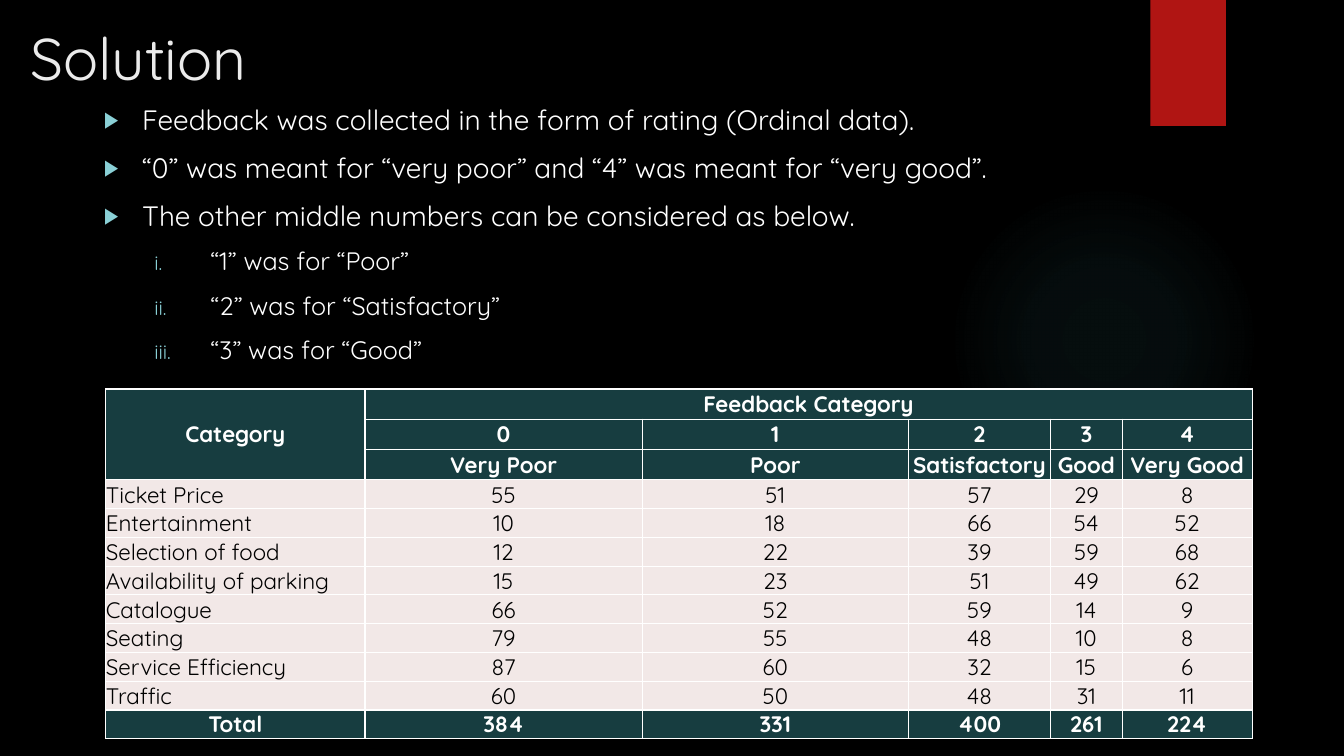
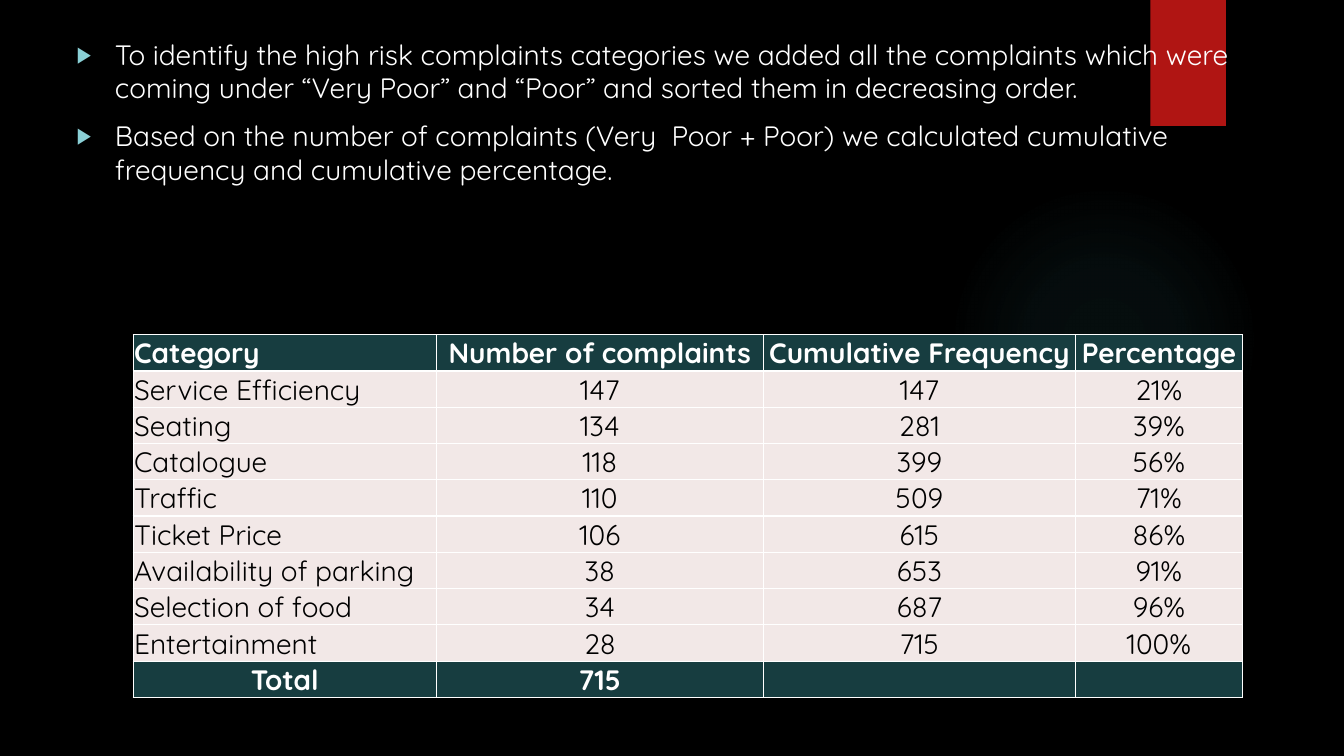
"""Build two slides on survey feedback: the ratings and the ranked complaints."""
import pptx
import pptx.dml.color
import pptx.enum.shapes
import pptx.enum.text
import pptx.oxml
import pptx.util

Inches, Pt = pptx.util.Inches, pptx.util.Pt
ALIGN, ANCHOR = pptx.enum.text.PP_ALIGN, pptx.enum.text.MSO_ANCHOR
SHAPE = pptx.enum.shapes.MSO_SHAPE
NS = 'xmlns:a="http://schemas.openxmlformats.org/drawingml/2006/main"'
FONT = "Quicksand"
BLACK, WHITE, TITLE = "000000", "FFFFFF", "EBEBEB"
RED, GLOW, BULLET = "B01513", "50B9C1", "8AD0D6"
DARK, PALE = "173D40", "F2E8E7"

BULLETS = [
    {"size": 20, "margin": 0.38, "indent": 0.38, "mark": '<a:buChar char="▶"/>'},
    {"size": 18, "margin": 1.06, "indent": 0.56, "mark": '<a:buAutoNum type="romanLcPeriod"/>'},
]

SLIDES = [
    {
        "title": "Solution",
        "body_at": (0.93, 0.97, 11.5, 4.76),
        "body": [
            (0, "Feedback was collected in the form of rating (Ordinal data)."),
            (0, "“0” was meant for “very poor” and “4” was meant for “very good”."),
            (0, "The other middle numbers can be considered as below."),
            (1, "“1” was for “Poor”"),
            (1, "“2” was for “Satisfactory”"),
            (1, "“3” was for “Good”"),
        ],
        "table": {
            "at": (1.05, 3.86), "height": 3.47, "size": 16, "inset": 0,
            "cols": [2.57, 2.75, 2.64, 1.41, 0.71, 1.29],
            "head_rows": 3, "head_height": 0.3, "corner": ALIGN.CENTER,
            "merges": [((0, 0), (2, 0)), ((0, 1), (0, 5))],
            "rows": [
                ("Category", "Feedback Category", "", "", "", ""),
                ("", "0", "1", "2", "3", "4"),
                ("", "Very Poor", "Poor", "Satisfactory", "Good", "Very Good"),
                ("Ticket Price", "55", "51", "57", "29", "8"),
                ("Entertainment", "10", "18", "66", "54", "52"),
                ("Selection of food", "12", "22", "39", "59", "68"),
                ("Availability of parking", "15", "23", "51", "49", "62"),
                ("Catalogue", "66", "52", "59", "14", "9"),
                ("Seating", "79", "55", "48", "10", "8"),
                ("Service Efficiency", "87", "60", "32", "15", "6"),
                ("Traffic", "60", "50", "48", "31", "11"),
                ("Total", "384", "331", "400", "261", "224"),
            ],
        },
    },
    {
        "title": None,
        "body_at": (0.66, 0.32, 12.31, 6.43),
        "body": [
            (0, "To identify the high risk complaints categories we added all the complaints "
                "which were coming under “Very Poor” and “Poor” and sorted them in decreasing order."),
            (0, "Based on the number of complaints (Very  Poor + Poor) we calculated "
                "cumulative frequency and cumulative percentage."),
        ],
        "table": {
            "at": (1.32, 3.32), "height": 3.6, "size": 20, "inset": 0.01,
            "cols": [3.01, 3.24, 3.1, 1.65],
            "head_rows": 1, "head_height": 0.36, "corner": ALIGN.LEFT,
            "merges": [],
            "rows": [
                ("Category", "Number of complaints", "Cumulative Frequency", "Percentage"),
                ("Service Efficiency", "147", "147", "21%"),
                ("Seating", "134", "281", "39%"),
                ("Catalogue", "118", "399", "56%"),
                ("Traffic", "110", "509", "71%"),
                ("Ticket Price", "106", "615", "86%"),
                ("Availability of parking", "38", "653", "91%"),
                ("Selection of food", "34", "687", "96%"),
                ("Entertainment", "28", "715", "100%"),
                ("Total", "715", "", ""),
            ],
        },
    },
]


def rgb(value):
    return pptx.dml.color.RGBColor.from_string(value)


def xml(text):
    return pptx.oxml.parse_xml(text.replace(">", f" {NS}>", 1))


def paint(fill, color):
    fill.solid()
    fill.fore_color.rgb = rgb(color)


def write(p, text, size=20, color=WHITE, bold=False, align=ALIGN.LEFT):
    p.alignment = align
    r = p.add_run()
    r.text = text
    r.font.name, r.font.size, r.font.bold = FONT, Pt(size), bold
    r.font.color.rgb = rgb(color)


def place(sp, at):
    sp.left, sp.top, sp.width, sp.height = map(Inches, at)


def add_decor(slide, kind, at):
    sp = slide.shapes.add_shape(kind, *map(Inches, at))
    sp.shadow.inherit = False
    sp.line.fill.background()
    return sp


def style_master(prs, slide):
    master = prs.slide_master
    paint(master.background.fill, BLACK)
    glow = add_decor(slide, SHAPE.OVAL, (9.41, 1.83, 3.08, 3.08))
    stops = "".join(
        f'<a:gs pos="{pos}000"><a:srgbClr val="{GLOW}"><a:alpha val="{alpha}000"/></a:srgbClr></a:gs>'
        for pos, alpha in [(0, 7), (36, 6), (69, 0)])
    glow.element.spPr.insert(2, xml(
        f'<a:gradFill><a:gsLst>{stops}</a:gsLst><a:path path="circle">'
        '<a:fillToRect l="50000" t="50000" r="50000" b="50000"/></a:path></a:gradFill>'))
    band = add_decor(slide, SHAPE.RECTANGLE, (11.41, 0, 0.75, 1.25))
    paint(band.fill, RED)
    band.element.spPr[-1].append(xml(
        f'<a:outerShdw blurRad="{Pt(3)}" dist="{Pt(2)}" dir="5400000"><a:srgbClr val="{BLACK}">'
        '<a:alpha val="45000"/></a:srgbClr></a:outerShdw>'))
    for i, sp in enumerate((glow, band)):
        master.shapes.element.insert(2 + i, sp.element)


def add_title(slide, text):
    sp = slide.shapes.title
    if text is None:
        sp.element.getparent().remove(sp.element)
        return
    place(sp, (0.2, 0.16, 11.5, 0.81))
    sp.text_frame.vertical_anchor = ANCHOR.MIDDLE
    write(sp.text_frame.paragraphs[0], text, size=42, color=TITLE)


def add_body(slide, at, items):
    sp = slide.placeholders[1]
    place(sp, at)
    tf = sp.text_frame
    tf.auto_size = pptx.enum.text.MSO_AUTO_SIZE.NONE
    tf.vertical_anchor = ANCHOR.TOP
    for i, (level, text) in enumerate(items):
        p = tf.add_paragraph() if i else tf.paragraphs[0]
        style = BULLETS[level]
        p.level, p.space_before = level, Pt(10)
        write(p, text, size=style["size"])
        pPr = p._p.get_or_add_pPr()
        pPr.set("marL", str(Inches(style["margin"])))
        pPr.set("indent", str(-Inches(style["indent"])))
        for mark in (f'<a:buClr><a:srgbClr val="{BULLET}"/></a:buClr>',
                     '<a:buSzPct val="80000"/>',
                     f'<a:buFont typeface="{FONT}"/>',
                     style["mark"]):
            pPr.append(xml(mark.replace("/>", " />") if mark.startswith("<a:buClr") else
                           mark.replace("/>", f"></{mark[1:].split()[0]}>")))


def format_cell(cell, text, inset, dark, size, align):
    tcPr = cell._tc.get_or_add_tcPr()
    for side in "LRTB":
        tcPr.append(xml(f'<a:ln{side} w="{Pt(1)}"><a:solidFill><a:srgbClr val="{WHITE}"/>'
                        f'</a:solidFill></a:ln{side}>'))
    paint(cell.fill, DARK if dark else PALE)
    cell.margin_left = cell.margin_right = cell.margin_top = Inches(inset)
    cell.margin_bottom = 0
    cell.vertical_anchor = ANCHOR.MIDDLE if dark else ANCHOR.BOTTOM
    if text:
        write(cell.text_frame.paragraphs[0], text, size=size, bold=dark, align=align,
              color=WHITE if dark else BLACK)


def add_table(slide, t):
    rows, cols, heads = t["rows"], t["cols"], t["head_rows"]
    at = (*t["at"], sum(cols), t["height"])
    table = slide.shapes.add_table(len(rows), len(cols), *map(Inches, at)).table
    table.first_row = table.horz_banding = False
    for col, width in zip(table.columns, cols):
        col.width = Inches(width)
    row_height = (t["height"] - heads * t["head_height"]) / (len(rows) - heads)
    for i, row in enumerate(rows):
        head, total = i < heads, i == len(rows) - 1
        table.rows[i].height = Inches(t["head_height"] if head else row_height)
        for j, text in enumerate(row):
            align = ALIGN.CENTER
            if j == 0 and not total:
                align = t["corner"] if head else ALIGN.LEFT
            format_cell(table.cell(i, j), text, t["inset"], head or total, t["size"], align)
    for start, end in t["merges"]:
        table.cell(*start).merge(table.cell(*end))


def main():
    prs = pptx.Presentation()
    prs.slide_width, prs.slide_height = Inches(13.33), Inches(7.5)
    for i, content in enumerate(SLIDES):
        slide = prs.slides.add_slide(prs.slide_layouts[1])
        if i == 0:
            style_master(prs, slide)
        add_title(slide, content["title"])
        add_body(slide, content["body_at"], content["body"])
        add_table(slide, content["table"])
    prs.save("out.pptx")


if __name__ == "__main__":
    main()
